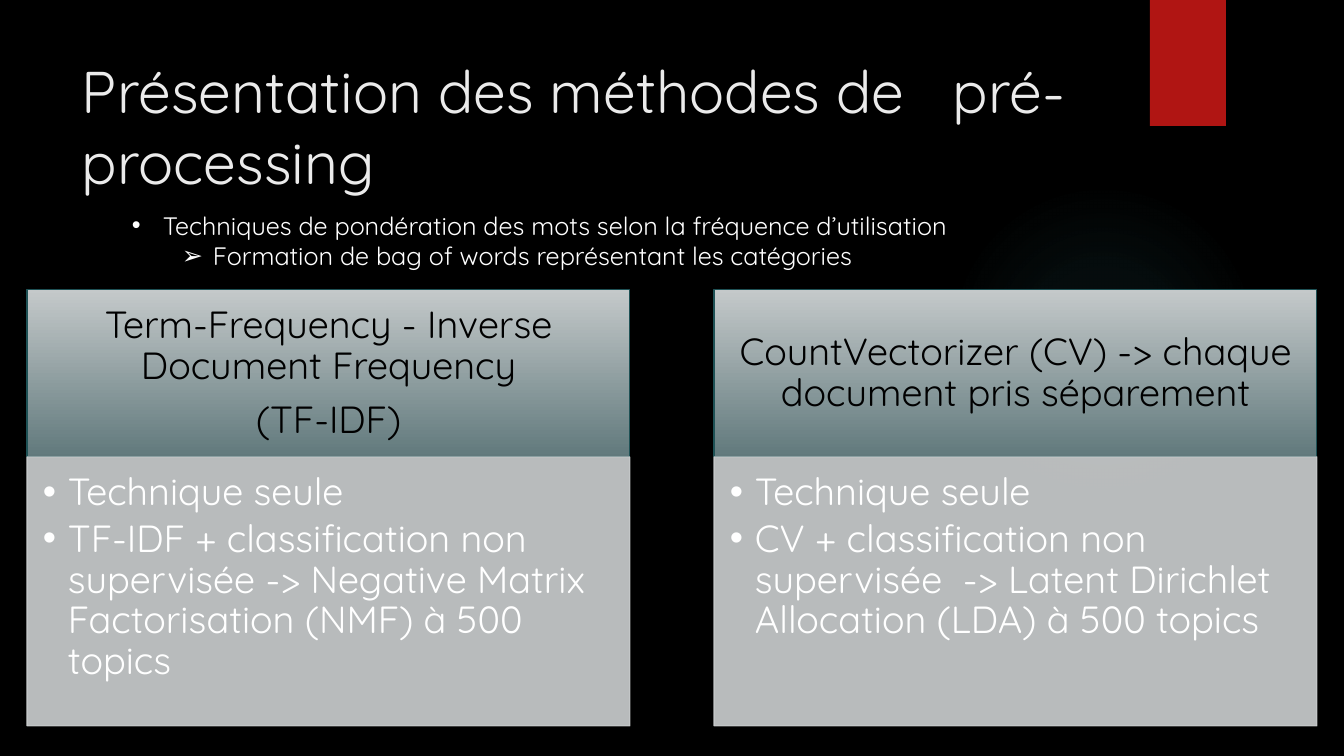
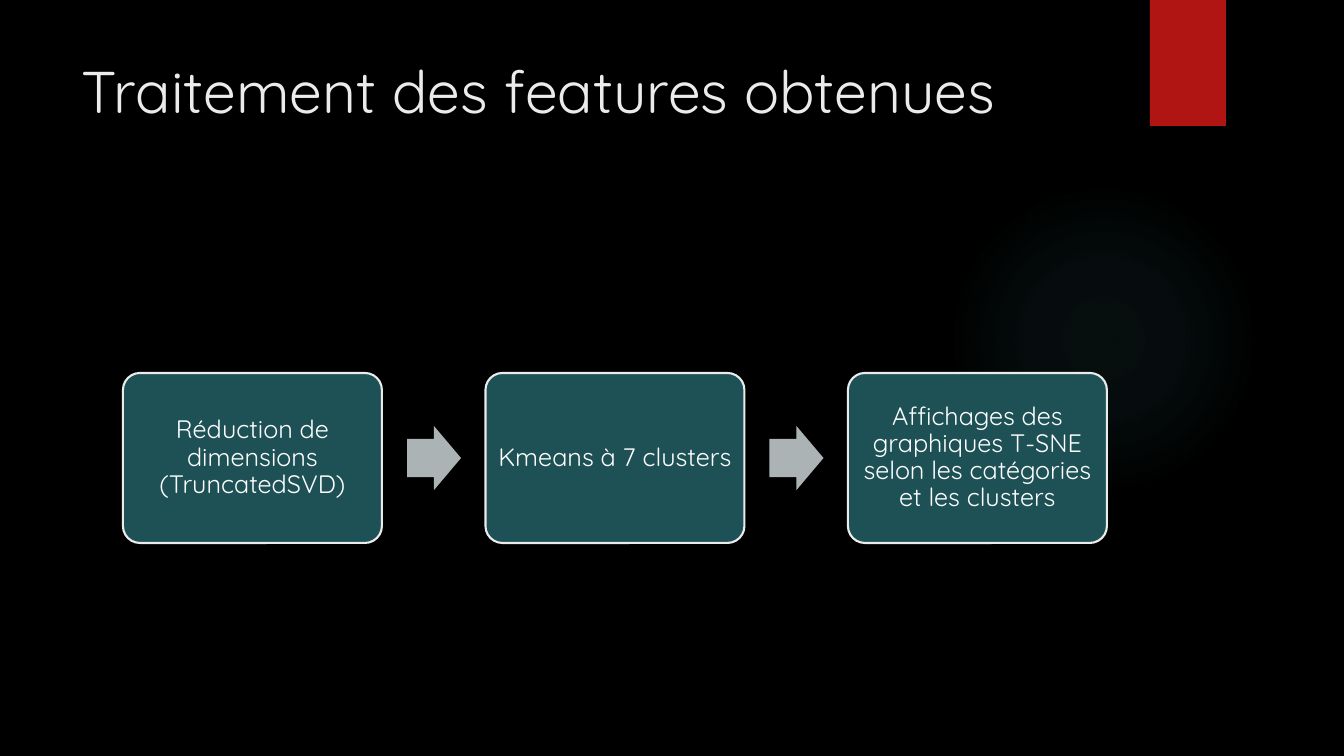
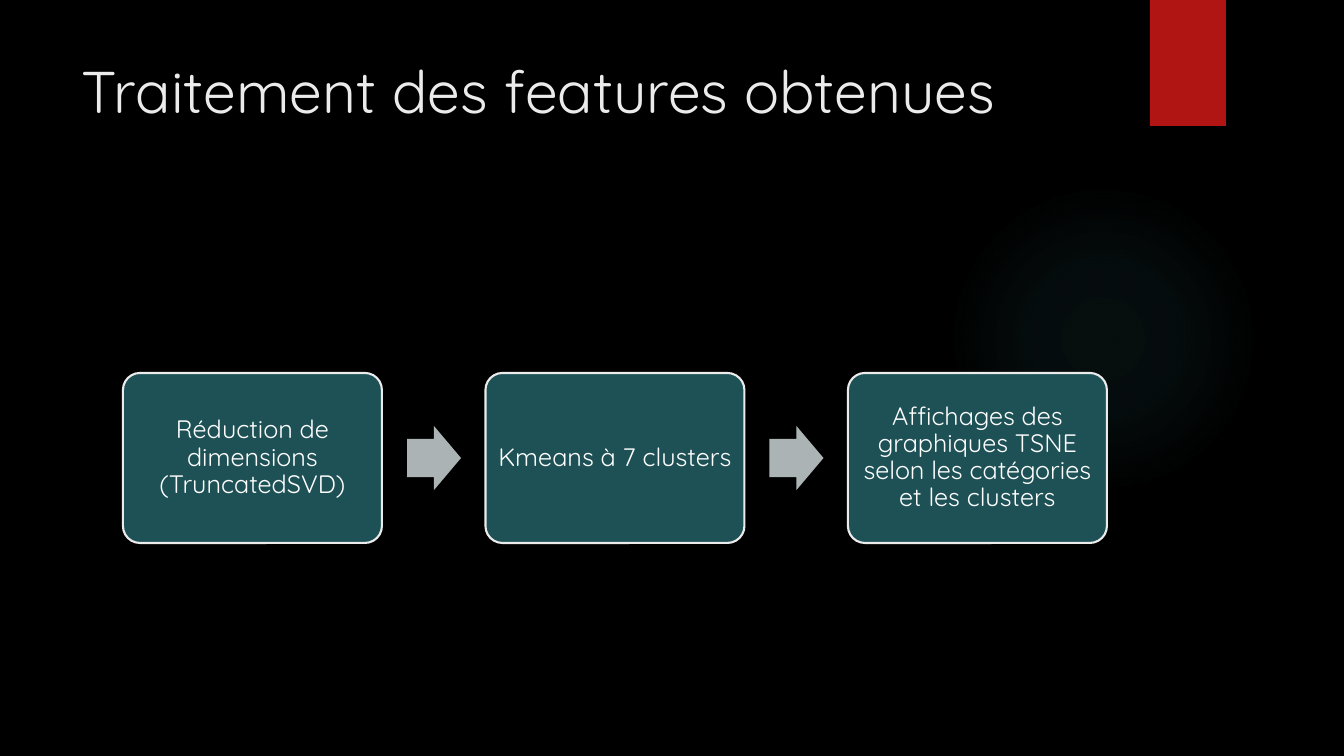
from lxml.etree import SubElement
from pptx import Presentation
from pptx.dml.color import RGBColor
from pptx.enum.shapes import MSO_SHAPE as SHAPE
from pptx.enum.text import MSO_ANCHOR as ANCHOR, PP_ALIGN as ALIGN
from pptx.oxml import parse_xml
from pptx.oxml.ns import nsdecls, qn
from pptx.util import Pt

SCALE = 914400 / 100.8
FONT = "Quicksand"
BLACK, WHITE, PALE, RED = "000000", "FFFFFF", "EBEBEB", "B01513"
TEAL, GLOW, PANEL, ARROW = "1E5155", "50B9C1", "CDD0D1", "ACB3B4"
HEADER_STOPS = ("C4C9CA", "61797C")
GLOW_STOPS = ((0, 7), (36, 6), (69, 0))


def px(n):
    """Turn px into EMU."""
    return round(n * SCALE)


def rgb(hex_code):
    """Turn a hex string into a colour."""
    return RGBColor.from_string(hex_code)


def assign(obj, values):
    """Set the attributes of an object from a dict."""
    for name, value in values.items():
        setattr(obj, name, value)


def add_bullet(p, char, left, hang):
    """Give a paragraph a hanging bullet."""
    pPr = p._p.get_or_add_pPr()
    pPr.set("marL", str(px(left)))
    pPr.set("indent", str(-px(hang)))
    SubElement(pPr, qn("a:buFont")).set("typeface", "Arial")
    SubElement(pPr, qn("a:buChar")).set("char", char)


def write(sp, lines, size, color, insets=(10, 5, 10, 5), anchor=ANCHOR.TOP, bullets=None, **para):
    """Fill a shape with paragraphs of one style."""
    tf = sp.text_frame
    sides = ("margin_left", "margin_top", "margin_right", "margin_bottom")
    assign(tf, {"word_wrap": True, "vertical_anchor": anchor, **dict(zip(sides, map(px, insets)))})
    for i, line in enumerate(lines):
        p = tf.paragraphs[0] if i == 0 else tf.add_paragraph()
        assign(p, {"alignment": ALIGN.LEFT, **para})
        if bullets:
            add_bullet(p, *bullets[i])
        r = p.add_run()
        r.text = line
        assign(r.font, {"name": FONT, "size": Pt(size)})
        r.font.color.rgb = rgb(color)


def add_text(s, box, lines, size, color, **style):
    """Add a text box."""
    write(s.shapes.add_textbox(*map(px, box)), lines, size, color, **style)


def add_box(s, kind, box, fill=None, line=None, weight=0.75):
    """Add a flat preset shape."""
    sp = s.shapes.add_shape(kind, *map(px, box))
    sp.shadow.inherit = False
    if fill:
        sp.fill.solid()
        sp.fill.fore_color.rgb = rgb(fill)
    else:
        sp.fill.background()
    if line:
        sp.line.color.rgb = rgb(line)
        sp.line.width = Pt(weight)
    else:
        sp.line.fill.background()
    return sp


def add_glow(s, box):
    """Add the faint round glow."""
    spPr = add_box(s, SHAPE.OVAL, box)._element.spPr
    stops = "".join(
        f'<a:gs pos="{pos * 1000}"><a:srgbClr val="{GLOW}"><a:alpha val="{alpha * 1000}"/></a:srgbClr></a:gs>'
        for pos, alpha in GLOW_STOPS)
    grad = parse_xml(
        f'<a:gradFill {nsdecls("a")}><a:gsLst>{stops}</a:gsLst><a:path path="circle">'
        '<a:fillToRect l="50000" t="50000" r="50000" b="50000"/></a:path></a:gradFill>')
    spPr.replace(spPr.find(qn("a:noFill")), grad)


def add_base(prs, title):
    """Add a slide with the shared glow, red band and title."""
    s = prs.slides.add_slide(prs.slide_layouts[6])
    add_glow(s, (948, 184, 310, 310))
    add_box(s, SHAPE.RECTANGLE, (1150, 0, 76, 126), RED)
    add_text(s, (72, 50, 1037, 154), [title], 42, PALE)
    return s


def add_method(s, box, heading, items):
    """Add a method: gradient header over a translucent panel."""
    x, y, w, h = box
    head_h = 167
    head = add_box(s, SHAPE.RECTANGLE, (x, y, w, head_h), line=TEAL)
    head.fill.gradient()
    head.fill.gradient_angle = 270
    for stop, color, pos in zip(head.fill.gradient_stops, HEADER_STOPS, (0, 1)):
        stop.color.rgb = rgb(color)
        stop.position = pos
    write(head, heading, 27, BLACK, (21, 12, 21, 12), ANCHOR.MIDDLE,
          alignment=ALIGN.CENTER, line_spacing=0.9, space_after=Pt(9.45))
    body = add_box(s, SHAPE.RECTANGLE, (x, y + head_h, w, h - head_h), PANEL, PANEL)
    for clr in body._element.spPr.iter(qn("a:srgbClr")):
        SubElement(clr, qn("a:alpha")).set("val", "90000")
    write(body, items, 27, WHITE, (16, 16, 21, 24), bullets=[("•", 25, 25)] * len(items),
          line_spacing=0.9, space_after=Pt(4.05))


def add_flow(s, box, steps):
    """Add equal steps across a box, joined by block arrows."""
    x, y, w, h = box
    step_w, arrow_w, arrow_h, arrow_gap = 259, 54, 64, 25
    pitch = (w - step_w) / (len(steps) - 1)
    for i, step in enumerate(steps):
        left = x + i * pitch
        sp = add_box(s, SHAPE.ROUNDED_RECTANGLE, (left, y, step_w, h), TEAL, PALE, 1.5)
        sp.adjustments[0] = 0.1
        write(sp, [step], 18, WHITE, (7, 7, 7, 7), ANCHOR.MIDDLE,
              alignment=ALIGN.CENTER, line_spacing=0.9, space_after=Pt(6.3))
        if i < len(steps) - 1:
            arrow = add_box(s, SHAPE.RIGHT_ARROW, (
                left + step_w + arrow_gap, y + (h - arrow_h) / 2, arrow_w, arrow_h), ARROW)
            arrow.adjustments[0] = 0.6


def build_methods(prs):
    """Build the slide on pre-processing methods."""
    s = add_base(prs, "Présentation des méthodes de   pré-processing")
    methods = (
        (["Term-Frequency - Inverse Document Frequency", "(TF-IDF)"],
         "TF-IDF + classification non supervisée -> Negative Matrix Factorisation (NMF) à 500 topics"),
        (["CountVectorizer (CV) -> chaque document pris séparement"],
         "CV + classification non supervisée  -> Latent Dirichlet Allocation (LDA) à 500 topics"),
    )
    for i, (heading, combined) in enumerate(methods):
        add_method(s, (27 + i * 687, 290, 603, 436), heading, ["Technique seule", combined])
    add_text(s, (122, 205, 972, 102),
             ["Techniques de pondération des mots selon la fréquence d’utilisation",
              "Formation de bag of words représentant les catégories"],
             18, WHITE, bullets=[("•", 31, 31), ("➢", 81, 31)])


def build_features(prs, graph):
    """Build a slide on feature processing for the named graph."""
    s = add_base(prs, "Traitement des features obtenues")
    add_flow(s, (123, 373, 984, 170), [
        "Réduction de dimensions (TruncatedSVD)",
        "Kmeans à 7 clusters",
        f"Affichages des graphiques {graph} selon les catégories et les clusters",
    ])


def main():
    """Build and save the deck."""
    prs = Presentation()
    assign(prs, {"slide_width": px(1344), "slide_height": px(756)})
    bg = prs.slide_master.background.fill
    bg.solid()
    bg.fore_color.rgb = rgb(BLACK)
    build_methods(prs)
    for graph in ("T-SNE", "TSNE"):
        build_features(prs, graph)
    prs.save("out.pptx")


if __name__ == "__main__":
    main()
